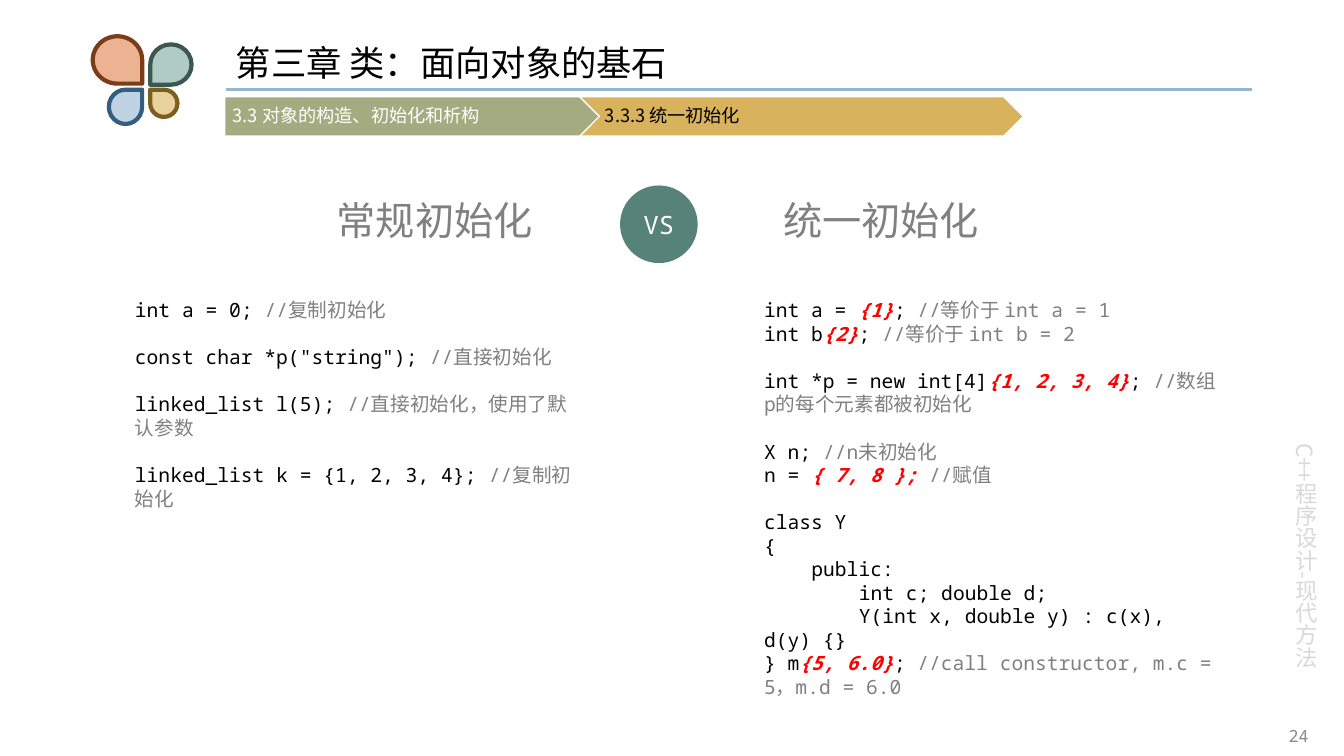
import pptx
import pptx.util
import pptx.dml.color
import pptx.enum.shapes
import pptx.enum.text
import pptx.oxml.ns
import lxml.etree

Inches, Pt = pptx.util.Inches, pptx.util.Pt
MSO = pptx.enum.shapes.MSO_SHAPE
ALIGN = pptx.enum.text.PP_ALIGN
ANCHOR = pptx.enum.text.MSO_ANCHOR
qn = pptx.oxml.ns.qn

CJK, MONO = "Noto Sans CJK SC", "Noto Sans Mono"
COLORS = {
    "code": "000000", "note": "808080", "brace": "FF0000", "white": "FFFFFF",
    "side": "D9D9D9", "number": "8C8C8C", "rule": "94B6D2",
    "section": "A5AB81", "topic": "D8B25C", "versus": "578279",
}

TITLE = "第三章 类：面向对象的基石"
SIDE_TITLE = "C++程序设计-现代方法"
PAGE_NUMBER = "24"

# box, rotation, fill, outline
PETALS = [
    ((0.93, 0.35, 0.47, 0.49), 90, "EBB391", "7B3D17"),
    ((1.49, 0.44, 0.41, 0.4), 180, "B0CAC4", "3A5750"),
    ((1.08, 0.89, 0.33, 0.34), 0, "BFD3E4", "355D7E"),
    ((1.49, 0.89, 0.27, 0.27), 270, "E8D19D", "7C5F1E"),
]

# shape, left, colour, label, label left, label width, label inset, label colour
CRUMBS = [
    (MSO.PENTAGON, 2.23, "section", "3.3 对象的构造、初始化和析构", 2.23, 4.3, 0.08, "white"),
    (MSO.CHEVRON, 5.75, "topic", "3.3.3 统一初始化", 5.94, 4.01, 0.06, "code"),
]

HEADINGS = [
    ("常规初始化", 2.15, ALIGN.RIGHT),
    ("统一初始化", 7.67, ALIGN.LEFT),
]

# Blocks of lines; each line is (indent level, runs), each run (text, colour name)
REGULAR = [
    [(0, [("int a = 0; ", "code"), ("//复制初始化", "note")])],
    [(0, [('const char *p("string"); ', "code"), ("//直接初始化", "note")])],
    [(0, [("linked_list l(5); ", "code"), ("//直接初始化，使用了默认参数", "note")])],
    [(0, [("linked_list k = {1, 2, 3, 4}; ", "code"), ("//复制初始化", "note")])],
]
UNIFORM = [
    [
        (0, [("int a = ", "code"), ("{1}", "brace"), ("; ", "code"),
             ("//等价于 int a = 1", "note")]),
        (0, [("int b", "code"), ("{2}", "brace"), ("; ", "code"),
             ("//等价于 int b = 2", "note")]),
    ],
    [
        (0, [("int *p = new int[4]", "code"), ("{1, 2, 3, 4}", "brace"), ("; ", "code"),
             ("//数组p的每个元素都被初始化", "note")]),
    ],
    [
        (0, [("X n; ", "code"), ("//n未初始化", "note")]),
        (0, [("n = ", "code"), ("{ 7, 8 }; ", "brace"), ("//赋值", "note")]),
    ],
    [
        (0, [("class Y", "code")]),
        (0, [("{", "code")]),
        (1, [("public:", "code")]),
        (2, [("int c; double d;", "code")]),
        (2, [("Y(int x, double y) : c(x), d(y) {}", "code")]),
        (0, [("} m", "code"), ("{5, 6.0}", "brace"), ("; ", "code"),
             ("//call constructor, m.c = 5，m.d = 6.0", "note")]),
    ],
]
CODE_SIZE = 14
CODE_INDENT = 0.47
BLOCK_GAP = 16.8

prs = pptx.Presentation()
prs.slide_width, prs.slide_height = Inches(13.33), Inches(7.5)
slide = prs.slides.add_slide(prs.slide_layouts[6])


def rgb(name):
    return pptx.dml.color.RGBColor.from_string(COLORS.get(name, name))


def add_run(p, text, size, color, font):
    r = p.add_run()
    r.text = text
    f = r.font
    f.size, f.name = Pt(size), font
    f.color.rgb = rgb(color)
    f.bold = f.italic = color == "brace"
    ea = lxml.etree.SubElement(r._r.get_or_add_rPr(), qn("a:ea"))
    ea.set("typeface", CJK)


def add_text(box, text, *, size, color="code", font=CJK, align=ALIGN.LEFT, anchor=ANCHOR.TOP,
             insets=(0.1, 0.05, 0.1, 0.05), spacing=None, sp=None):
    """Write text, a string or blocks of code lines, in a new box or in the shape sp."""
    sp = sp or slide.shapes.add_textbox(*map(Inches, box))
    tf = sp.text_frame
    tf.word_wrap, tf.vertical_anchor = True, anchor
    tf.margin_left, tf.margin_top, tf.margin_right, tf.margin_bottom = map(Inches, insets)
    blocks = [[(0, [(text, color)])]] if isinstance(text, str) else text
    p = None
    for b, block in enumerate(blocks):
        for i, (level, runs) in enumerate(block):
            p = tf.add_paragraph() if p else tf.paragraphs[0]
            p.alignment = align
            if spacing:
                p.line_spacing = spacing
            if b and i == 0:
                p.space_before = Pt(BLOCK_GAP)
            if level:
                p._p.get_or_add_pPr().set("indent", str(Inches(level * CODE_INDENT)))
            for run_text, run_color in runs:
                add_run(p, run_text, size, run_color, font)
    return sp


def add_shape(kind, box, fill, line=None, width=1, rotation=0):
    sp = slide.shapes.add_shape(kind, *map(Inches, box))
    sp.shadow.inherit = False
    sp.rotation = rotation
    sp.fill.solid()
    sp.fill.fore_color.rgb = rgb(fill)
    if line:
        sp.line.color.rgb = rgb(line)
        sp.line.width = Pt(width)
    else:
        sp.line.fill.background()
    return sp


# Frame: side title, petals, rule, title, page number
side = add_text((12.66, 4.3, 0.47, 2.8), SIDE_TITLE, size=16, color="side", align=ALIGN.CENTER)
side.text_frame._txBody.bodyPr.set("vert", "eaVert")
for box, rotation, fill, outline in PETALS:
    add_shape(MSO.TEAR, box, fill, outline, 3, rotation)
rule = slide.shapes.add_connector(pptx.enum.shapes.MSO_CONNECTOR.STRAIGHT,
                                  *map(Inches, (2.24, 0.89, 12.42, 0.89)))
rule.line.color.rgb, rule.line.width = rgb("rule"), Pt(2)
lxml.etree.SubElement(rule._element.spPr, qn("a:effectLst"))
add_text((2.24, 0.4, 10.18, 0.49), TITLE, size=25.2, anchor=ANCHOR.MIDDLE, spacing=0.9)
add_text((12.42, 7.1, 0.92, 0.4), PAGE_NUMBER, size=12, color="number", font=MONO,
         align=ALIGN.CENTER, anchor=ANCHOR.MIDDLE)

# Breadcrumb
for kind, left, fill, label, label_left, label_width, inset, color in CRUMBS:
    add_shape(kind, (left, 0.96, 4.4, 0.39), fill, "white")
    add_text((label_left, 0.96, label_width, 0.39), label, size=13, color=color,
             anchor=ANCHOR.MIDDLE, insets=(inset, 0.04, 0.02, 0.04), spacing=0.9)

# Comparison
versus = add_shape(MSO.OVAL, (6.15, 1.84, 0.77, 0.77), "versus")
add_text(None, "VS", size=18, color="white", font=MONO, align=ALIGN.CENTER,
         anchor=ANCHOR.MIDDLE, sp=versus)
for heading, left, align in HEADINGS:
    add_text((left, 1.9, 3.23, 0.57), heading, size=28, color="note", font=MONO, align=align)
add_text((1.24, 2.91, 4.61, 2.46), REGULAR, size=CODE_SIZE, font=MONO)
add_text((7.48, 2.91, 4.74, 3.87), UNIFORM, size=CODE_SIZE, font=MONO)

prs.save("out.pptx")
